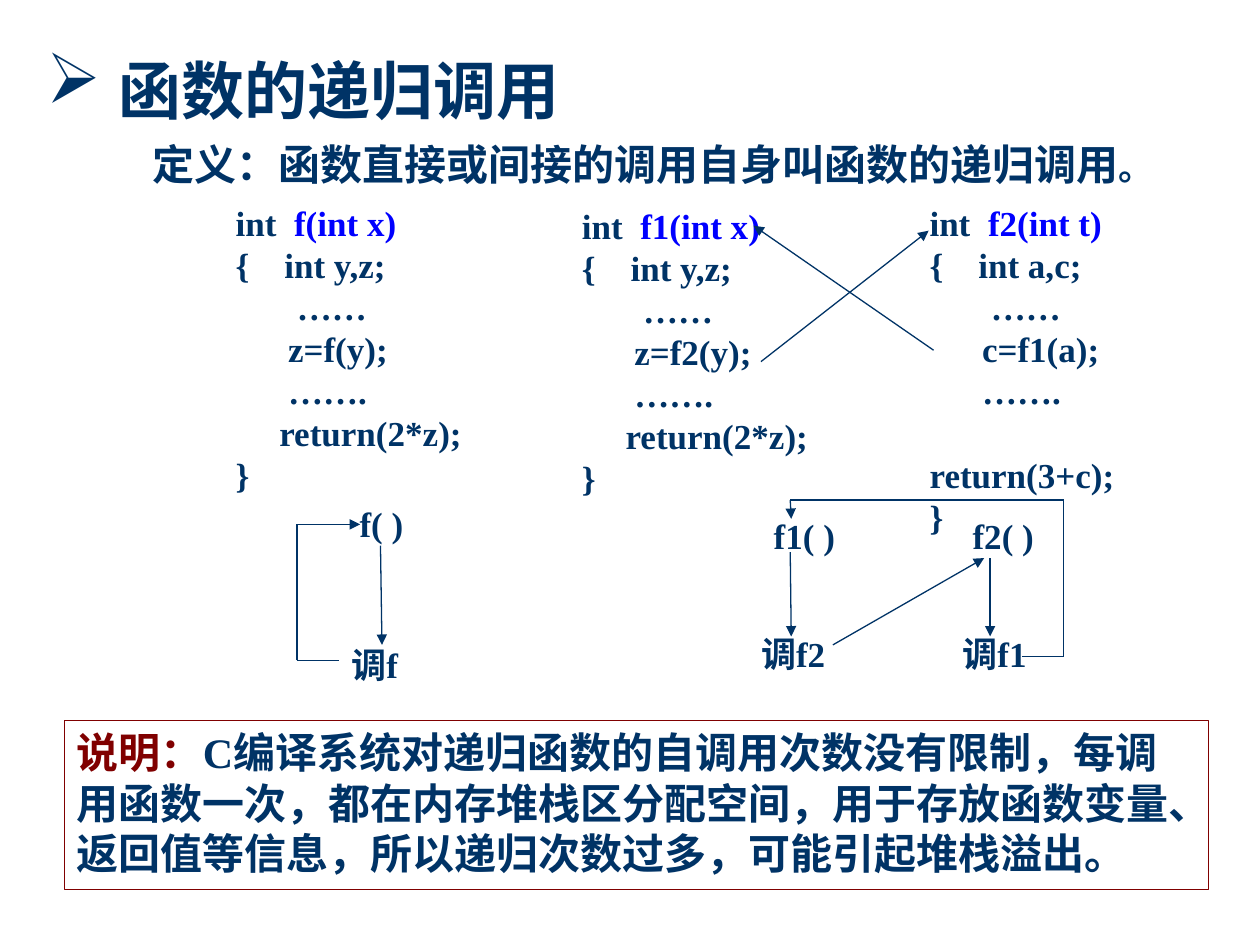
from dataclasses import dataclass
from itertools import pairwise

import pptx
import pptx.dml.color
import pptx.enum.shapes
import pptx.enum.text
import pptx.oxml
import pptx.oxml.ns
import pptx.util
from lxml import etree

Cm = pptx.util.Cm
Anchor = pptx.enum.text.MSO_ANCHOR
Align = pptx.enum.text.PP_ALIGN


@dataclass(frozen=True)
class Theme:
    font: str = "Times New Roman"
    ink: str = "003366"
    signature: str = "0000FF"
    note: str = "800000"
    bullet_size: int = 40
    title_size: int = 36
    body_size: int = 24
    code_size: int = 20
    line_width: float = 0.75


THEME = Theme()


def rgb(value):
    return pptx.dml.color.RGBColor.from_string(value)


def add_element(parent, tag, **attributes):
    return etree.SubElement(parent, pptx.oxml.ns.qn(tag), **attributes)


def write(frame, paragraphs, size, anchor=Anchor.TOP, align=Align.LEFT,
          wrap=True, indent=0, bullet=None, spacing=None):
    """Fill frame; a paragraph is a list of (text, overrides) spans."""
    frame.word_wrap = wrap
    frame.vertical_anchor = anchor
    for index, spans in enumerate(paragraphs):
        para = frame.paragraphs[0] if index == 0 else frame.add_paragraph()
        properties = para._p.get_or_add_pPr()
        if indent:
            properties.set("marL", str(Cm(indent)))
            properties.set("indent", "0")
        if bullet:
            add_element(properties, "a:buChar", char=bullet)
        para.alignment = align
        if spacing:
            para.line_spacing = spacing
        for text, overrides in spans:
            span = para.add_run()
            span.text = text
            span.font.name = THEME.font
            span.font.bold = True
            span.font.size = pptx.util.Pt(overrides.get("size", size))
            span.font.color.rgb = rgb(overrides.get("color", THEME.ink))


class Page:
    def __init__(self, deck):
        self.shapes = deck.slides.add_slide(deck.slide_layouts[6]).shapes

    def text(self, place, paragraphs, size, **style):
        box = self.shapes.add_textbox(*map(Cm, place))
        write(box.text_frame, paragraphs, size, **style)

    def code(self, left, top, name, variables, call, result):
        lines = [
            [("int  ", {}), (name, {"color": THEME.signature})],
            [("{    int " + variables + ";", {})],
            [("       ……", {})],
            [("      " + call + ";", {})],
            [("      …….", {})],
            [("     return(" + result + ");", {})],
            [("}", {})],
        ]
        self.text((left, top, 5.08, 6.17), lines, THEME.code_size, wrap=False)

    def label(self, left, top, width, text, wrap=False):
        self.text((left, top, width, 1.09), [[(text, {})]], THEME.code_size,
                  anchor=Anchor.MIDDLE, align=Align.CENTER, wrap=wrap)

    def note(self, place, paragraphs, size):
        box = self.shapes.add_shape(
            pptx.enum.shapes.MSO_SHAPE.RECTANGLE, *map(Cm, place))
        box.shadow.inherit = False
        box.fill.background()
        box.line.color.rgb = rgb(THEME.note)
        box.line.width = pptx.util.Pt(THEME.line_width)
        write(box.text_frame, paragraphs, size)

    def arrow(self, *points):
        """Join the points with straight lines, with a head at the last."""
        for start, end in pairwise(points):
            line = self.shapes.add_connector(
                pptx.enum.shapes.MSO_CONNECTOR.STRAIGHT, *map(Cm, start + end))
            line.line.color.rgb = rgb(THEME.ink)
            line.line.width = pptx.util.Pt(THEME.line_width)
            if end == points[-1]:
                add_element(line.line._get_or_add_ln(), "a:tailEnd", type="triangle")
            add_element(line._element.spPr, "a:effectLst")


def main():
    deck = pptx.Presentation()
    deck.slide_width, deck.slide_height = Cm(25.4), Cm(19.05)
    page = Page(deck)

    page.text((0.69, 0.71, 20.52, 2.01),
              [[(" ", {"size": THEME.bullet_size}), ("函数的递归调用", {})]],
              THEME.title_size, anchor=Anchor.BOTTOM, bullet="➢", spacing=0.85)
    page.text((1.55, 2.67, 22.02, 1.47),
              [[("定义：函数直接或间接的调用自身叫函数的递归调用", {}),
                ("。", {"size": THEME.code_size})]],
              THEME.body_size, indent=1.27)

    page.code(4.5, 3.94, "f(int x)", "y,z", "z=f(y)", "2*z")
    page.code(11.48, 3.99, "f1(int x)", "y,z", "z=f2(y)", "2*z")
    page.code(18.49, 3.94, "f2(int t)", "a,c", "c=f1(a)", "3+c")
    page.arrow((15.34, 7.29), (18.72, 4.65))
    page.arrow((18.82, 7.06), (15.19, 4.55))

    # Direct recursion: f calls itself
    page.label(6.99, 10.01, 1.4, "f( )")
    page.label(6.83, 12.85, 1.45, "调f", wrap=True)
    page.arrow((7.67, 11), (7.7, 13))
    page.arrow((6.83, 13.31), (5.99, 13.31), (5.99, 10.57), (7.26, 10.57))

    # Indirect recursion: f1 and f2 call each other
    page.label(15.34, 10.26, 1.75, "f1( )")
    page.label(19.35, 10.26, 1.75, "f2( )")
    page.label(15.09, 12.62, 1.8, "调f2", wrap=True)
    page.label(19.1, 12.62, 1.9, "调f1", wrap=True)
    page.arrow((15.93, 11.13), (15.95, 12.83))
    page.arrow((16.79, 13), (19.84, 11.25))
    page.arrow((19.96, 11.25), (19.96, 12.83))
    page.arrow((20.6, 13.23), (21.44, 13.23), (21.44, 10.08),
               (15.93, 10.08), (15.95, 10.46))

    page.note((1.3, 14.53, 23.06, 3.4),
              [[("说明：", {"color": THEME.note}),
                ("C编译系统对递归函数的自调用次数没有限制，每调用函数一次，"
                 "都在内存堆栈区分配空间，用于存放函数变量、返回值等信息，"
                 "所以递归次数过多，可能引起堆栈溢出。", {})]],
              THEME.body_size)
    deck.save("out.pptx")


if __name__ == "__main__":
    main()
